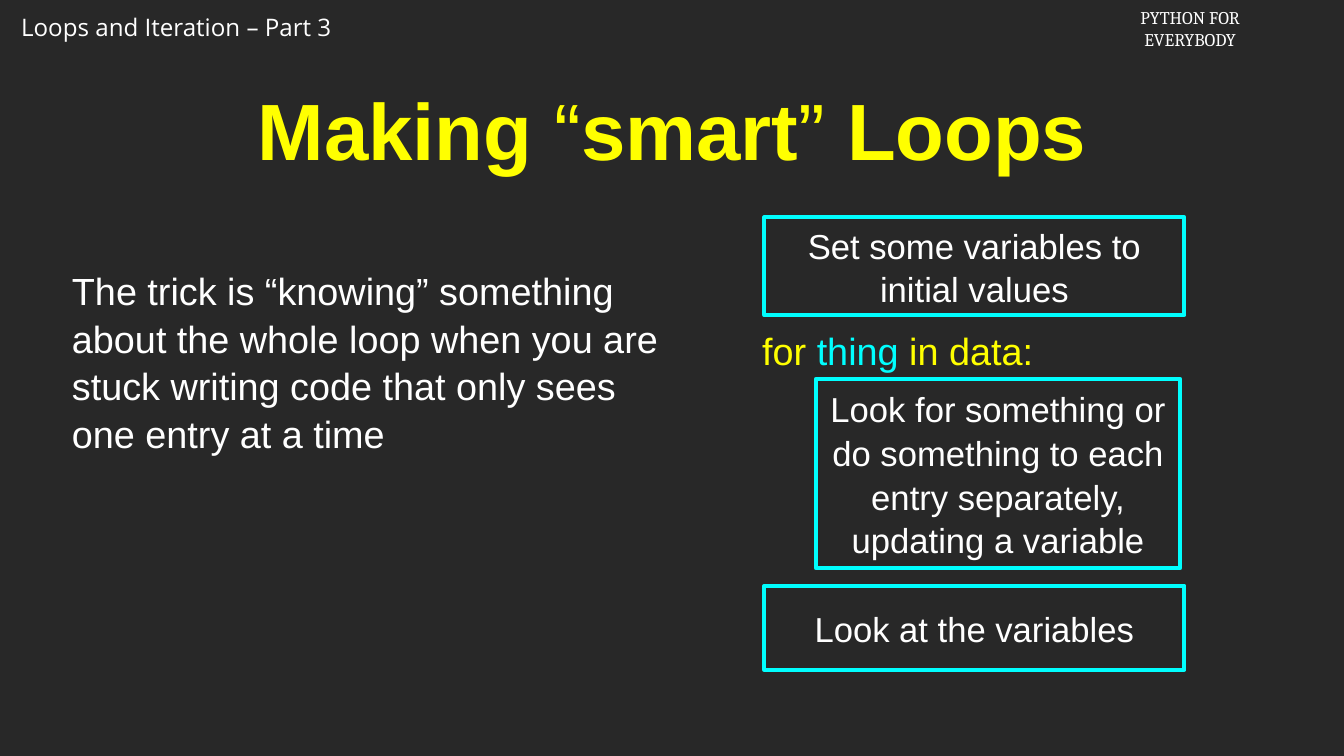
from dataclasses import dataclass

from lxml.etree import SubElement
from pptx import Presentation
from pptx.dml.color import RGBColor
from pptx.enum.shapes import MSO_SHAPE
from pptx.enum.text import MSO_ANCHOR, MSO_AUTO_SIZE, PP_ALIGN
from pptx.oxml.ns import qn
from pptx.shapes.autoshape import Shape
from pptx.slide import Slide
from pptx.util import Pt

BACKGROUND = RGBColor(0x28, 0x28, 0x28)
WHITE = RGBColor(0xFF, 0xFF, 0xFF)
YELLOW = RGBColor(0xFF, 0xFF, 0x00)
CYAN = RGBColor(0x00, 0xFF, 0xFF)

LINE_SPACING = 1.05


@dataclass(frozen=True)
class Box:
    left: float
    top: float
    width: float
    height: float


@dataclass(frozen=True)
class Span:
    text: str
    color: RGBColor = WHITE
    bold: bool = False


@dataclass(frozen=True)
class Step:
    box: Box
    text: str


@dataclass(frozen=True)
class Header:
    box: Box
    lines: tuple[str, ...]
    font: str
    size: float
    align: PP_ALIGN


HEADERS = (
    Header(Box(13, 8.5, 325, 35), ("Loops and Iteration – Part 3",),
           "Open Sans", 23, PP_ALIGN.LEFT),
    Header(Box(1071, 3, 125, 48), ("PYTHON FOR", "EVERYBODY"),
           "Cambria", 17, PP_ALIGN.CENTER),
)
STEPS = (
    Step(Box(728, 207, 400, 93), "Set some variables to initial values"),
    Step(Box(777, 361, 347, 180),
         "Look for something or do something to each entry separately, updating a variable"),
    Step(Box(728, 558, 400, 80), "Look at the variables"),
)
TITLE = (
    Span("Making ", YELLOW, True),
    Span("“", YELLOW),
    Span("smart", YELLOW, True),
    Span("” ", YELLOW),
    Span("Loops", YELLOW, True),
)
LOOP_LINE = (Span("for ", YELLOW), Span("thing", CYAN), Span(" in data:", YELLOW))
TRICK = ("The trick is “knowing” something about the whole loop when you are "
         "stuck writing code that only sees one entry at a time")


def place(shape: Shape, box: Box) -> None:
    shape.left, shape.top = Pt(box.left), Pt(box.top)
    shape.width, shape.height = Pt(box.width), Pt(box.height)


def add_runs(paragraph, spans: tuple[Span, ...], font: str, size: float) -> None:
    for span in spans:
        run = paragraph.add_run()
        run.text = span.text
        run.font.name = font
        run.font.size = Pt(size)
        run.font.bold = span.bold
        run.font.color.rgb = span.color


def write_middle(shape: Shape, spans: tuple[Span, ...], size: float,
                 align: PP_ALIGN = PP_ALIGN.CENTER, inset: float = 0) -> None:
    """Fill the shape with one vertically centred Arial paragraph."""
    frame = shape.text_frame
    frame.word_wrap = True
    frame.auto_size = MSO_AUTO_SIZE.NONE
    frame.vertical_anchor = MSO_ANCHOR.MIDDLE
    frame.margin_left = frame.margin_right = Pt(inset)
    frame.margin_top = frame.margin_bottom = Pt(inset)
    paragraph = frame.paragraphs[0]
    paragraph.alignment = align
    paragraph.space_before = Pt(0)
    paragraph.line_spacing = LINE_SPACING
    add_runs(paragraph, spans, "Arial", size)


def remove_bullet(paragraph) -> None:
    properties = paragraph._p.get_or_add_pPr()
    properties.set("marL", "0")
    properties.set("indent", "0")
    SubElement(properties, qn("a:buNone"))


def add_text_box(slide: Slide, box: Box) -> Shape:
    return slide.shapes.add_textbox(Pt(box.left), Pt(box.top), Pt(box.width), Pt(box.height))


def add_header(slide: Slide, header: Header) -> None:
    frame = add_text_box(slide, header.box).text_frame
    frame.word_wrap = False
    frame.auto_size = MSO_AUTO_SIZE.SHAPE_TO_FIT_TEXT
    for index, line in enumerate(header.lines):
        paragraph = frame.add_paragraph() if index else frame.paragraphs[0]
        paragraph.alignment = header.align
        add_runs(paragraph, (Span(line),), header.font, header.size)


def add_step(slide: Slide, step: Step) -> None:
    shape = slide.shapes.add_shape(MSO_SHAPE.RECTANGLE, Pt(0), Pt(0), Pt(0), Pt(0))
    place(shape, step.box)
    shape.shadow.inherit = False
    shape.fill.background()
    shape.line.color.rgb = CYAN
    shape.line.width = Pt(4)
    write_middle(shape, (Span(step.text),), 33)


def main() -> None:
    presentation = Presentation()
    presentation.slide_width, presentation.slide_height = Pt(1280), Pt(720)
    slide = presentation.slides.add_slide(presentation.slide_layouts[1])
    slide.background.fill.solid()
    slide.background.fill.fore_color.rgb = BACKGROUND

    for header in HEADERS:
        add_header(slide, header)

    title = slide.shapes.title
    place(title, Box(50, 71, 1180, 98))
    write_middle(title, TITLE, 76, inset=3)

    body = slide.placeholders[1]
    place(body, Box(65.5, 119, 580, 449))
    remove_bullet(body.text_frame.paragraphs[0])
    write_middle(body, (Span(TRICK),), 36, PP_ALIGN.LEFT, inset=3)

    for step in STEPS:
        add_step(slide, step)
    write_middle(add_text_box(slide, Box(721, 308, 268, 49)), LOOP_LINE, 36)

    presentation.save("out.pptx")


if __name__ == "__main__":
    main()
